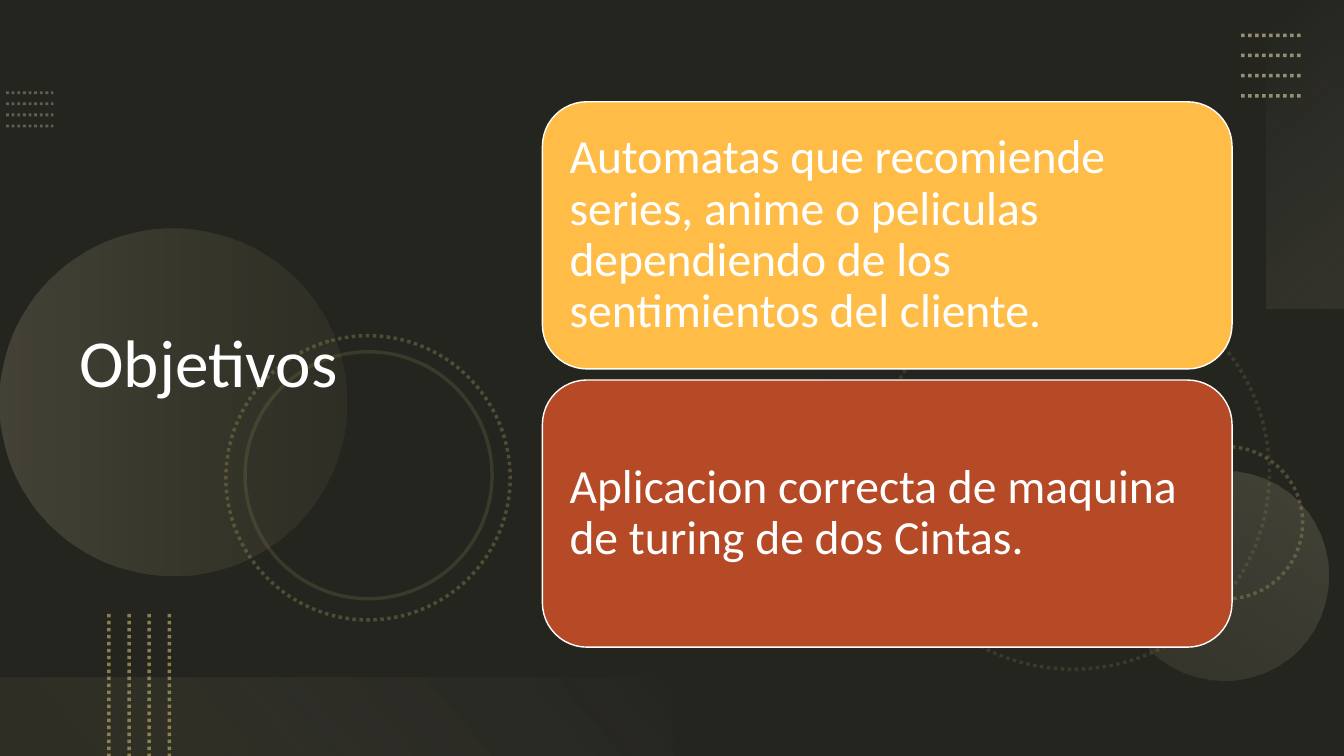
"""Build the goals slide: a dark decorated ground, a title and two cards."""
import pptx
import pptx.dml.color
import pptx.enum.dml
import pptx.enum.shapes
import pptx.enum.text
import pptx.oxml
import pptx.oxml.ns
import pptx.util

RGB = pptx.dml.color.RGBColor
KIND = pptx.enum.shapes.MSO_SHAPE
INCH = pptx.util.Inches
WIDE, HIGH = 13.33, 7.5
GROUND = RGB(0x50, 0x50, 0x46)
BLACK = RGB(0, 0, 0)
WHITE = RGB(0xFF, 0xFF, 0xFF)
GREY = RGB(0x9A, 0x9A, 0x8C)
OLIVE = RGB(0x94, 0x8A, 0x54)
SAND = RGB(0xC4, 0xBD, 0x97)
PALE = RGB(0xF8, 0xF7, 0xF3)
CREAM = RGB(0xF5, 0xF4, 0xED)
GOLD = RGB(0xFF, 0xBD, 0x47)
RUST = RGB(0xB6, 0x49, 0x26)
GOALS = [
    ("Automatas que recomiende series, anime o peliculas "
     "dependiendo de los sentimientos del cliente.", GOLD),
    ("Aplicacion correcta de maquina de turing de dos Cintas.", RUST),
]


def node(text):
    """Parse a drawing element written with the a: prefix."""
    return pptx.oxml.parse_xml(
        text.replace(">", f" {pptx.oxml.ns.nsdecls('a')}>", 1))


def fade(fill, color, share):
    """Fill with a solid colour at a percentage of opacity."""
    fill.solid()
    fill.fore_color.rgb = color
    tone = fill._xPr.find(".//" + pptx.oxml.ns.qn("a:srgbClr"))
    tone.append(node(f'<a:alpha val="{share * 1000}"></a:alpha>'))


def stroke(line, color, share, width=2.5, dots=True):
    """Style a line or an outline."""
    line.width = pptx.util.Pt(width)
    fade(line.fill, color, share)
    if dots:
        line.dash_style = pptx.enum.dml.MSO_LINE.ROUND_DOT


def form(slide, kind, box, turn=0):
    """Add a bare preset shape in a box."""
    shape = slide.shapes.add_shape(kind, *map(INCH, box))
    shape.shadow.inherit = False
    shape.rotation = turn
    shape.fill.background()
    shape.line.fill.background()
    return shape


def blend(shape, angle, *stops):
    """Fill a shape with a gradient of (place, colour, opacity) stops."""
    marks = "".join(
        f'<a:gs pos="{place * 1000}"><a:srgbClr val="{color}">'
        f'<a:alpha val="{share * 1000}"/></a:srgbClr></a:gs>'
        for place, color, share in stops)
    grad = node(f'<a:gradFill rotWithShape="1"><a:gsLst>{marks}</a:gsLst>'
                f'<a:lin ang="{angle * 60000}" scaled="0"/></a:gradFill>')
    props = shape._element.spPr
    props.replace(props.find(pptx.oxml.ns.qn("a:noFill")), grad)


def rows(slide, box, color, share, width=2.5, down=False):
    """Spread four dotted lines evenly over a box."""
    left, top, wide, high = box
    for step in range(4):
        if down:
            x = left + wide * step / 3
            ends = x, top, x, top + high
        else:
            y = top + high * step / 3
            ends = left, y, left + wide, y
        link = slide.shapes.add_connector(
            pptx.enum.shapes.MSO_CONNECTOR.STRAIGHT, *map(INCH, ends))
        stroke(link.line, color, share, width)
        link._element.spPr.append(node("<a:effectLst></a:effectLst>"))


def ring(slide, left, top, size, turn, share, dots=True):
    """Draw an outlined circle."""
    shape = form(slide, KIND.OVAL, (left, top, size, size), turn)
    stroke(shape.line, OLIVE, share, dots=dots)


def disc(slide, left, top, size, turn, first, last):
    """Draw a circle filled with a soft gradient."""
    shape = form(slide, KIND.OVAL, (left, top, size, size), turn)
    blend(shape, 90, (0, *first), (100, *last))


def decor(slide, wide, high):
    """Draw the dark veil, circles, bands and dotted lines."""
    veil = form(slide, KIND.RECTANGLE, (0, 0, wide, high))
    fade(veil.fill, BLACK, 53)
    rows(slide, (0.06, 0.92, 0.47, 0.33), GREY, 50, 2)
    ring(slide, 8.69, 2.74, 3.9, 75, 20)
    ring(slide, 11.41, 4.43, 1.51, 270, 40)
    disc(slide, 0, 2.27, 3.44, 270, (SAND, 20), (OLIVE, 10))
    disc(slide, 11.1, 4.67, 2.08, 210, (SAND, 10), (SAND, 20))
    ring(slide, 2.24, 3.33, 2.82, 75, 40)
    ring(slide, 2.43, 3.49, 2.45, 75, 20, dots=False)
    side = form(slide, KIND.RECTANGLE, (11.42, 1.14, 3.06, 0.78), 270)
    blend(side, 140, (0, PALE, 0), (100, SAND, 10))
    rows(slide, (12.31, 0.35, 0.6, 0.6), SAND, 70)
    base = form(slide, KIND.RECTANGLE, (0, high - 0.78, wide / 2, 0.78), 180)
    blend(base, 140, (10, OLIVE, 10), (100, CREAM, 0))
    rows(slide, (1.08, 6.09, 0.6, high - 6.09), OLIVE, 90, down=True)


def write(shape, text, size, inset):
    """Set left-aligned white text, centred in height."""
    frame = shape.text_frame
    frame.text = text
    frame.word_wrap = True
    frame.vertical_anchor = pptx.enum.text.MSO_ANCHOR.MIDDLE
    frame.margin_left = frame.margin_right = INCH(inset)
    frame.margin_top = frame.margin_bottom = INCH(inset)
    line = frame.paragraphs[0]
    line.alignment = pptx.enum.text.PP_ALIGN.LEFT
    line.line_spacing = 0.9
    font = line.runs[0].font
    font.name, font.size = "Calibri", pptx.util.Pt(size)
    font.color.rgb = WHITE


def title(slide, box):
    """Place the slide title."""
    write(slide.shapes.add_textbox(*map(INCH, box)), "Objetivos", 48, 0.1)


def cards(slide, box, gap):
    """Stack one rounded card for each goal."""
    left, top, wide, high = box
    tall = (high - gap * (len(GOALS) - 1)) / len(GOALS)
    for step, (text, color) in enumerate(GOALS):
        place = left, top + step * (tall + gap), wide, tall
        card = form(slide, KIND.ROUNDED_RECTANGLE, place)
        card.fill.solid()
        card.fill.fore_color.rgb = color
        stroke(card.line, WHITE, 100, 1, dots=False)
        write(card, text, 34, 0.14)


def main():
    """Build and save the slide."""
    deck = pptx.Presentation()
    deck.slide_width, deck.slide_height = INCH(WIDE), INCH(HIGH)
    slide = deck.slides.add_slide(deck.slide_layouts[6])
    slide.background.fill.solid()
    slide.background.fill.fore_color.rgb = GROUND
    decor(slide, WIDE, HIGH)
    title(slide, (0.69, 0.54, 4.59, 6.17))
    cards(slide, (5.38, 1.01, 6.84, 5.41), 0.11)
    deck.save("out.pptx")


if __name__ == "__main__":
    main()
